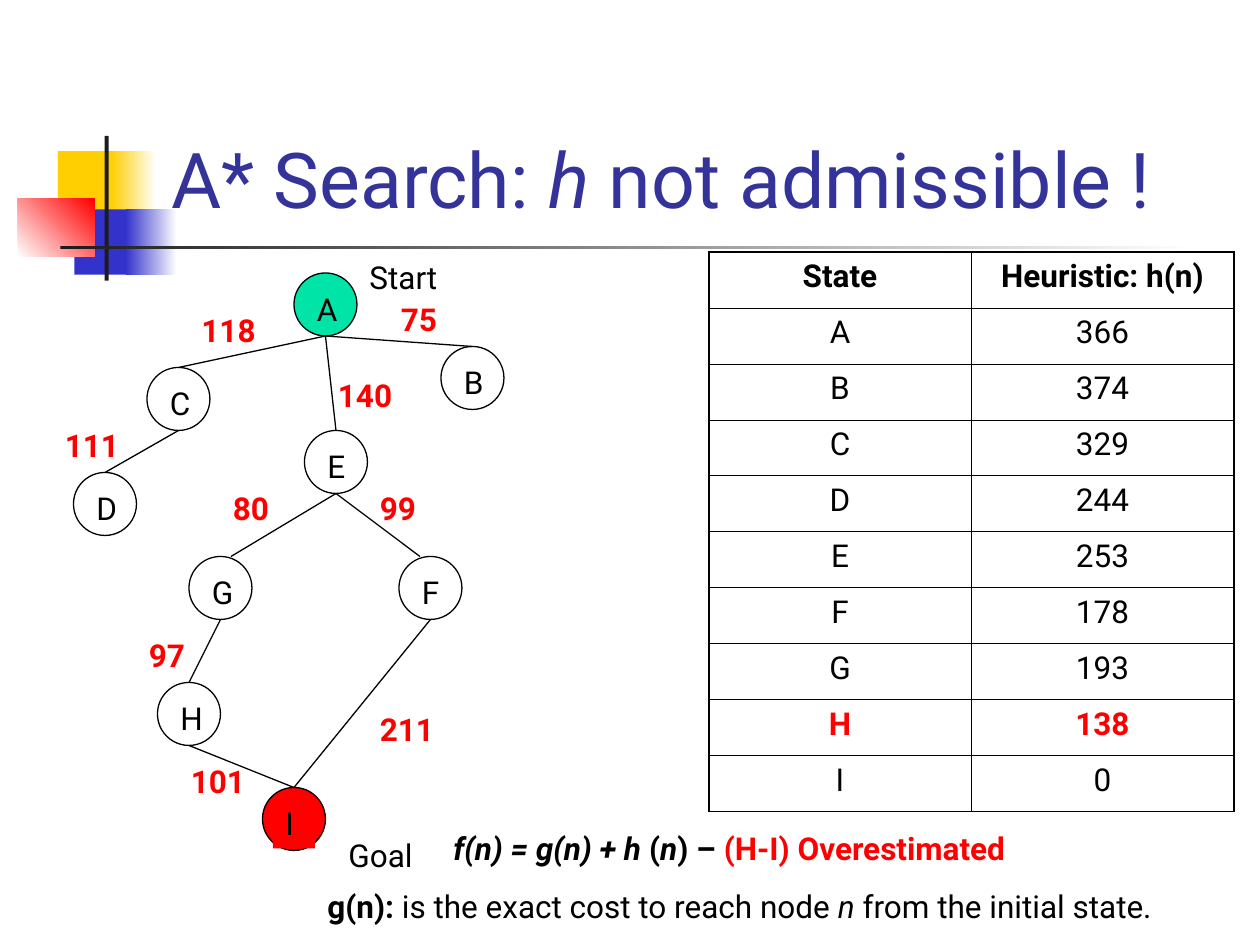
from lxml import etree
from pptx import Presentation
from pptx.dml.color import RGBColor
from pptx.enum.shapes import MSO_CONNECTOR, MSO_SHAPE
from pptx.enum.text import MSO_ANCHOR, MSO_AUTO_SIZE, PP_ALIGN
from pptx.oxml import parse_xml
from pptx.oxml.ns import nsdecls, qn
from pptx.util import Cm, Pt

RECT, OVAL = MSO_SHAPE.RECTANGLE, MSO_SHAPE.OVAL
STRAIGHT = MSO_CONNECTOR.STRAIGHT
FONT, BLACK, RED, WHITE, NAVY = "Roboto", "000000", "FF0000", "FFFFFF", "333399"

# Content: a run is (text, colour, style letters)
TITLE = [("A* Search: ", NAVY, ""), ("h", NAVY, "i"), (" not admissible !", NAVY, "")]
FORMULA = [
    [("\tf(n) = g(n) + h ", BLACK, "bi"), ("(", BLACK, "b"), ("n", BLACK, "bi"),
     (") – ", BLACK, "b"), ("(H-I) Overestimated", RED, "b")],
    [("g(n): ", BLACK, "b"), ("is the exact cost to reach node ", BLACK, ""),
     ("n", BLACK, "i"), (" from the initial state.", BLACK, "")],
]
HEADER = ("State", "Heuristic: h(n)")
HEURISTIC = [("A", 366), ("B", 374), ("C", 329), ("D", 244), ("E", 253),
             ("F", 178), ("G", 193), ("H", 138), ("I", 0)]
OVERESTIMATED = "H"

# Tree, in grid units of a twelfth of an inch
NODES = {"A": (28, 26), "B": (42, 33), "D": (7, 45), "C": (14, 35), "E": (29, 41),
         "F": (38, 53), "I": (25, 75), "G": (18, 53), "H": (15, 65)}
NODE_FILL = {"A": "00E4A8", "I": RED}
NODE_SIZE = 6
# from, to, sideways shift of the lower end
EDGES = [("E", "F", -1), ("F", "I", 0), ("E", "G", 1), ("G", "H", 0), ("H", "I", 0),
         ("A", "B", 0), ("A", "E", 0), ("A", "C", 0), ("C", "D", 0)]
# text, left, top, width
COSTS = [("99", 35, 46, 8), ("211", 35, 67, 10), ("80", 21, 46, 8), ("97", 13, 60, 8),
         ("101", 17, 72, 11), ("75", 37, 28, 8), ("118", 18, 29, 10),
         ("111", 5, 40, 10), ("140", 31, 35.2, 10)]
MARKS = [("Start", 34, 24, 16), ("Goal", 32, 79, 16)]
LABEL_H = 4.8

# Corner ornament: left, top, width, height in cm, colours, gradient angle
ORNAMENT = [
    (1.17, 3.05, 1.22, 1.32, ["FFCF01"], 0),
    (2.24, 3.05, 0.91, 1.32, ["FFCF01", WHITE], 0),
    (1.5, 4.22, 1.17, 1.32, ["3333CC"], 0),
    (2.54, 4.22, 1.02, 1.32, ["3333CC", WHITE], 0),
    (0.36, 4.01, 1.55, 1.17, [WHITE, RED], 45),
    (2.11, 2.74, 0.08, 2.92, ["1C1C1C"], 0),
    (1.22, 4.95, 22.86, 0.08, ["1C1C1C", WHITE], 0),
]


def rgb(value):
    return RGBColor.from_string(value)


def u(n):
    return Cm(n * 2.54 / 12)


def paint(sp, colours, angle=0):
    if not colours:
        sp.fill.background()
    elif len(colours) == 1:
        sp.fill.solid()
        sp.fill.fore_color.rgb = rgb(colours[0])
    else:
        sp.fill.gradient()
        sp.fill.gradient_angle = angle
        for stop, colour in zip(sp.fill.gradient_stops, colours):
            stop.color.rgb = rgb(colour)


def add_runs(p, runs, size=18):
    for text, colour, style in runs:
        r = p.add_run()
        r.text = text
        r.font.name, r.font.size = FONT, Pt(size)
        r.font.bold, r.font.italic = "b" in style, "i" in style
        r.font.color.rgb = rgb(colour)


def add_label(shapes, run, left, top, width):
    sp = shapes.add_textbox(u(left), u(top), u(width), u(LABEL_H))
    sp.text_frame.word_wrap = True
    sp.text_frame.auto_size = MSO_AUTO_SIZE.SHAPE_TO_FIT_TEXT
    add_runs(sp.text_frame.paragraphs[0], [run])
    return sp


def set_borders(cell, widths):
    tcPr = cell._tc.get_or_add_tcPr()
    for i, (side, width) in enumerate(zip("LRTB", widths)):
        tcPr.insert(i, parse_xml(
            f'<a:ln{side} {nsdecls("a")} w="{Pt(width)}"><a:solidFill>'
            f'<a:srgbClr val="{BLACK}"/></a:solidFill></a:ln{side}>'))


prs = Presentation()
prs.slide_width, prs.slide_height = Cm(25.4), Cm(19.05)
s = prs.slides.add_slide(prs.slide_layouts[5])

# Ornament
for left, top, width, height, colours, angle in ORNAMENT:
    sp = s.shapes.add_shape(RECT, Cm(left), Cm(top), Cm(width), Cm(height))
    sp.shadow.inherit = False
    sp.line.fill.background()
    paint(sp, colours, angle)

# Title, brought in front of the ornament
title = s.shapes.title
title.left, title.top, title.width, title.height = Cm(3.2), Cm(0.58), Cm(21.64), Cm(4.06)
s.shapes._spTree.append(title._element)
tf = title.text_frame
tf.word_wrap, tf.auto_size = True, MSO_AUTO_SIZE.NONE
tf.vertical_anchor = MSO_ANCHOR.BOTTOM
tf.paragraphs[0].alignment = PP_ALIGN.LEFT
add_runs(tf.paragraphs[0], TITLE, 44)

# Nodes
for name, (x, y) in NODES.items():
    fill = [NODE_FILL[name]] if name in NODE_FILL else []
    group = s.shapes.add_group_shape()
    sp = group.shapes.add_shape(OVAL, u(x), u(y), u(NODE_SIZE), u(NODE_SIZE))
    sp.shadow.inherit = False
    sp.line.color.rgb, sp.line.width = rgb(BLACK), Pt(0.75)
    paint(sp, fill)
    label = add_label(group.shapes, (name, BLACK, ""), x + 1, y + 1, 4)
    if name == "I":
        paint(label, fill)

# Edges, from the bottom of a parent to the top of a child
for parent, child, shift in EDGES:
    (x1, y1), (x2, y2) = NODES[parent], NODES[child]
    half = NODE_SIZE / 2
    line = s.shapes.add_connector(STRAIGHT, u(x1 + half), u(y1 + NODE_SIZE),
                                  u(x2 + half + shift), u(y2))
    line.line.color.rgb, line.line.width = rgb(BLACK), Pt(0.75)
    etree.SubElement(line._element.spPr, qn("a:effectLst"))

# Costs and marks
for text, *place in COSTS:
    add_label(s.shapes, (text, RED, "b"), *place)
for text, *place in MARKS:
    add_label(s.shapes, (text, BLACK, ""), *place)

# Formula
sp = s.shapes.add_textbox(Cm(6.35), Cm(16.59), Cm(18.42), Cm(2.4))
tf = sp.text_frame
tf.word_wrap = True
for i, runs in enumerate(FORMULA):
    p = tf.add_paragraph() if i else tf.paragraphs[0]
    tabs = etree.SubElement(p._p.get_or_add_pPr(), qn("a:tabLst"))
    etree.SubElement(tabs, qn("a:tab"), pos=str(Cm(2.54)), algn="l")
    if i:
        p.space_before = Pt(11.2)
    add_runs(p, runs)

# Heuristic table: thick frame, thin grid
rows = [HEADER] + HEURISTIC
last_row, last_col = len(rows) - 1, len(HEADER) - 1
table = s.shapes.add_table(len(rows), len(HEADER), u(67.5), u(24), u(50), u(53.33)).table
table.first_row = table.horz_banding = False
for i, row in enumerate(rows):
    for j, value in enumerate(row):
        cell = table.cell(i, j)
        cell.fill.background()
        edges = (j == 0, j == last_col, i == 0, i == last_row)
        set_borders(cell, [1.08 if outer else 0.45 for outer in edges])
        marked = row[0] == OVERESTIMATED
        p = cell.text_frame.paragraphs[0]
        p.alignment = PP_ALIGN.CENTER
        add_runs(p, [(str(value), RED if marked else BLACK, "b" if marked or i == 0 else "")])

prs.save("out.pptx")
